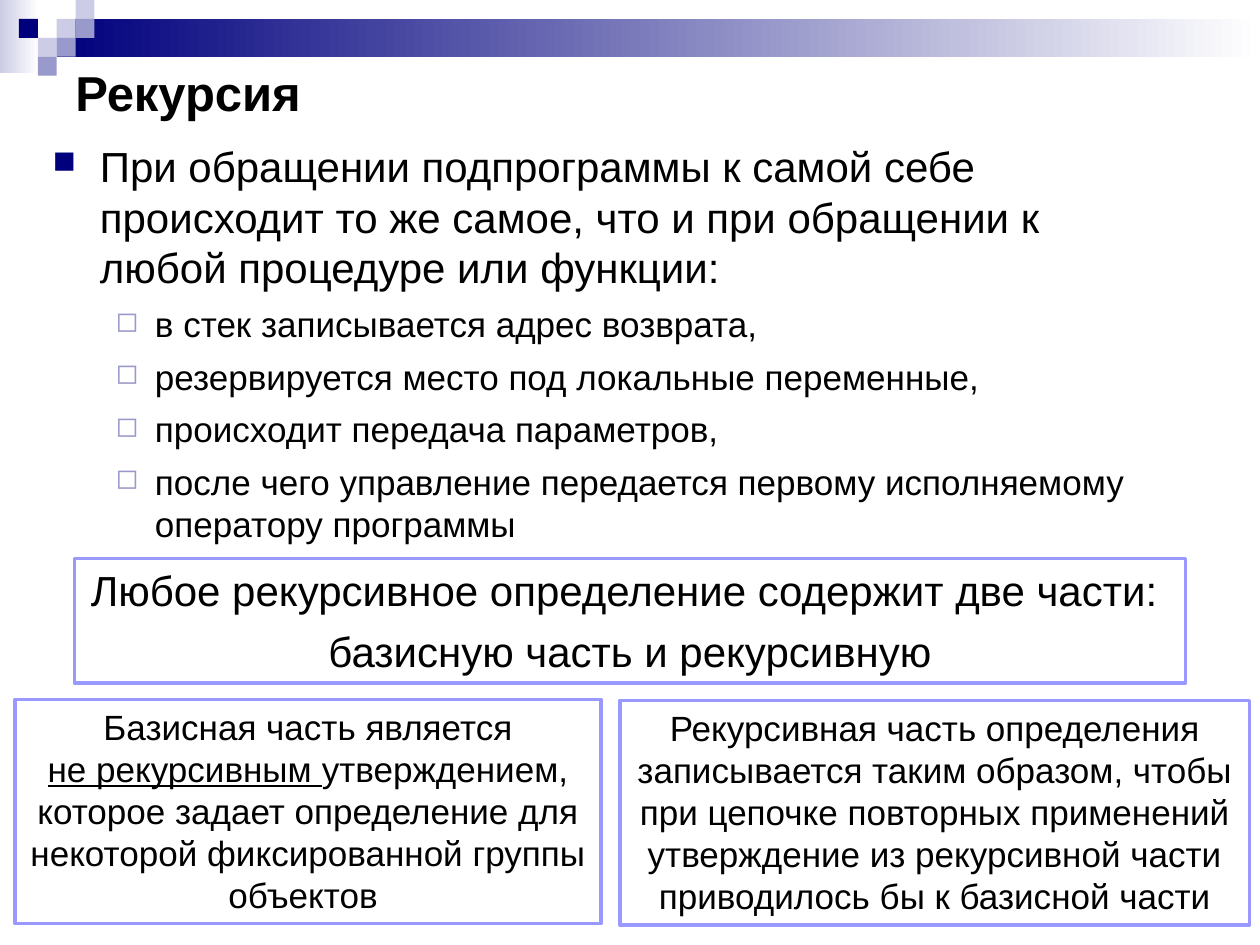
from dataclasses import dataclass

from lxml import etree
from pptx import Presentation
from pptx.dml.color import RGBColor
from pptx.enum import dml, shapes, text
from pptx.oxml import ns
from pptx.util import Pt

NAVY, MEDIUM, PALE = "00007D", "9999CC", "CCCCE6"
WHITE, BLACK, FRAME = "FFFFFF", "000000", "9999FF"
CELL = 10.8


@dataclass(frozen=True)
class Box:
    left: float
    top: float
    width: float
    height: float

    def lengths(self) -> tuple:
        return Pt(self.left), Pt(self.top), Pt(self.width), Pt(self.height)


@dataclass(frozen=True)
class Bullet:
    char: str
    color: str
    percent: int
    margin: float
    hanging: float


@dataclass(frozen=True)
class Square:
    column: int
    row: int
    color: str


@dataclass(frozen=True)
class Panel:
    box: Box
    size: int
    space_before: int
    paragraphs: tuple


MAIN_BULLET = Bullet("■", NAVY, 75, 27, 27)
SUB_BULLET = Bullet("◻", MEDIUM, 80, 58.5, 22.5)

SQUARES = (
    Square(3, 1, PALE), Square(4, 0, PALE), Square(4, 1, MEDIUM), Square(2, 2, PALE),
    Square(1, 1, NAVY), Square(3, 2, MEDIUM), Square(2, 3, MEDIUM),
)

MAIN_POINT = ("При обращении подпрограммы к самой себе происходит то же самое, "
              "что и при обращении к любой процедуре или функции:")
STEPS = (
    "в стек записывается адрес возврата,",
    "резервируется место под локальные переменные,",
    "происходит передача параметров,",
    "после чего управление передается первому исполняемому оператору программы",
)

PANELS = (
    Panel(Box(42.5, 319, 635, 71.3), 24, 6, (
        ("Любое рекурсивное определение содержит две части: ",),
        ("базисную часть и рекурсивную",),
    )),
    Panel(Box(8.6, 399.6, 334.8, 128.2), 20, 0, (
        ("Базисная часть является", "\n", "_не рекурсивным ",
         "утверждением, которое задает определение для некоторой "
         "фиксированной группы объектов "),
    )),
    Panel(Box(354.2, 400.3, 360, 128.2), 20, 0, (
        ("Рекурсивная часть определения записывается таким образом, чтобы при "
         "цепочке повторных применений утверждение из рекурсивной части "
         "приводилось бы к базисной части",),
    )),
)


def rgb(color: str) -> RGBColor:
    return RGBColor.from_string(color)


def add_rectangle(slide, box: Box, color: str, fade_to: str = "", line: str = ""):
    shape = slide.shapes.add_shape(shapes.MSO_SHAPE.RECTANGLE, *box.lengths())
    shape.shadow.inherit = False
    if fade_to:
        shape.fill.gradient()
        shape.fill.gradient_angle = 0
        for stop, stop_color in zip(shape.fill.gradient_stops, (color, fade_to)):
            stop.color.rgb = rgb(stop_color)
    else:
        shape.fill.solid()
        shape.fill.fore_color.rgb = rgb(color)
    if line:
        shape.line.color.rgb = rgb(line)
        shape.line.width = Pt(2)
        shape.line.dash_style = dml.MSO_LINE.SOLID
    else:
        shape.line.fill.background()
    return shape


def set_bullet(paragraph, bullet: Bullet) -> None:
    properties = paragraph._p.get_or_add_pPr()
    properties.set("marL", str(Pt(bullet.margin)))
    properties.set("indent", str(-Pt(bullet.hanging)))
    color = etree.SubElement(properties, ns.qn("a:buClr"))
    etree.SubElement(color, ns.qn("a:srgbClr"), val=bullet.color)
    etree.SubElement(properties, ns.qn("a:buSzPct"), val=str(bullet.percent * 1000))
    etree.SubElement(properties, ns.qn("a:buChar"), char=bullet.char)


def write(frame, *pieces: str, size: int, bold: bool = False, space_before: int = 0,
          align=text.PP_ALIGN.LEFT, bullet: Bullet | None = None, level: int = 0) -> None:
    """Add a paragraph; a leading "_" underlines a piece and "\\n" breaks the line."""
    paragraph = frame.paragraphs[0]
    if paragraph.runs:
        paragraph = frame.add_paragraph()
    paragraph.alignment = align
    paragraph.level = level
    paragraph.space_before = Pt(space_before)
    if bullet:
        set_bullet(paragraph, bullet)
    for piece in pieces:
        if piece == "\n":
            paragraph.add_line_break()
            continue
        run = paragraph.add_run()
        run.text = piece.removeprefix("_")
        run.font.name = "Arial"
        run.font.size = Pt(size)
        run.font.bold = bold
        run.font.underline = piece.startswith("_")
        run.font.color.rgb = rgb(BLACK)


def add_text_frame(slide, box: Box, anchor):
    frame = slide.shapes.add_textbox(*box.lengths()).text_frame
    frame.word_wrap = True
    frame.vertical_anchor = anchor
    return frame


def add_decoration(slide) -> None:
    add_rectangle(slide, Box(0, 0, 22.3, 41.8), PALE, fade_to=WHITE)
    add_rectangle(slide, Box(3 * CELL, CELL, 720 - 3 * CELL, 2 * CELL), NAVY, fade_to=WHITE)
    for square in SQUARES:
        box = Box(square.column * CELL, square.row * CELL, CELL, CELL)
        add_rectangle(slide, box, square.color)


def add_panel(slide, panel: Panel) -> None:
    frame = add_rectangle(slide, panel.box, WHITE, line=FRAME).text_frame
    frame.word_wrap = True
    frame.auto_size = text.MSO_AUTO_SIZE.SHAPE_TO_FIT_TEXT
    frame.vertical_anchor = text.MSO_ANCHOR.TOP
    for pieces in panel.paragraphs:
        write(frame, *pieces, size=panel.size, space_before=panel.space_before,
              align=text.PP_ALIGN.CENTER)


def main() -> None:
    presentation = Presentation()
    presentation.slide_width, presentation.slide_height = Pt(720), Pt(540)
    slide = presentation.slides.add_slide(presentation.slide_layouts[6])

    add_decoration(slide)
    title = add_text_frame(slide, Box(36, 27.4, 648, 49.7), text.MSO_ANCHOR.MIDDLE)
    write(title, "Рекурсия", size=28, bold=True)

    body = add_text_frame(slide, Box(23, 77, 648, 278), text.MSO_ANCHOR.TOP)
    write(body, MAIN_POINT, size=24, space_before=6, bullet=MAIN_BULLET)
    for step in STEPS:
        write(body, step, size=20, space_before=6, bullet=SUB_BULLET, level=1)

    for panel in PANELS:
        add_panel(slide, panel)
    presentation.save("out.pptx")


if __name__ == "__main__":
    main()
